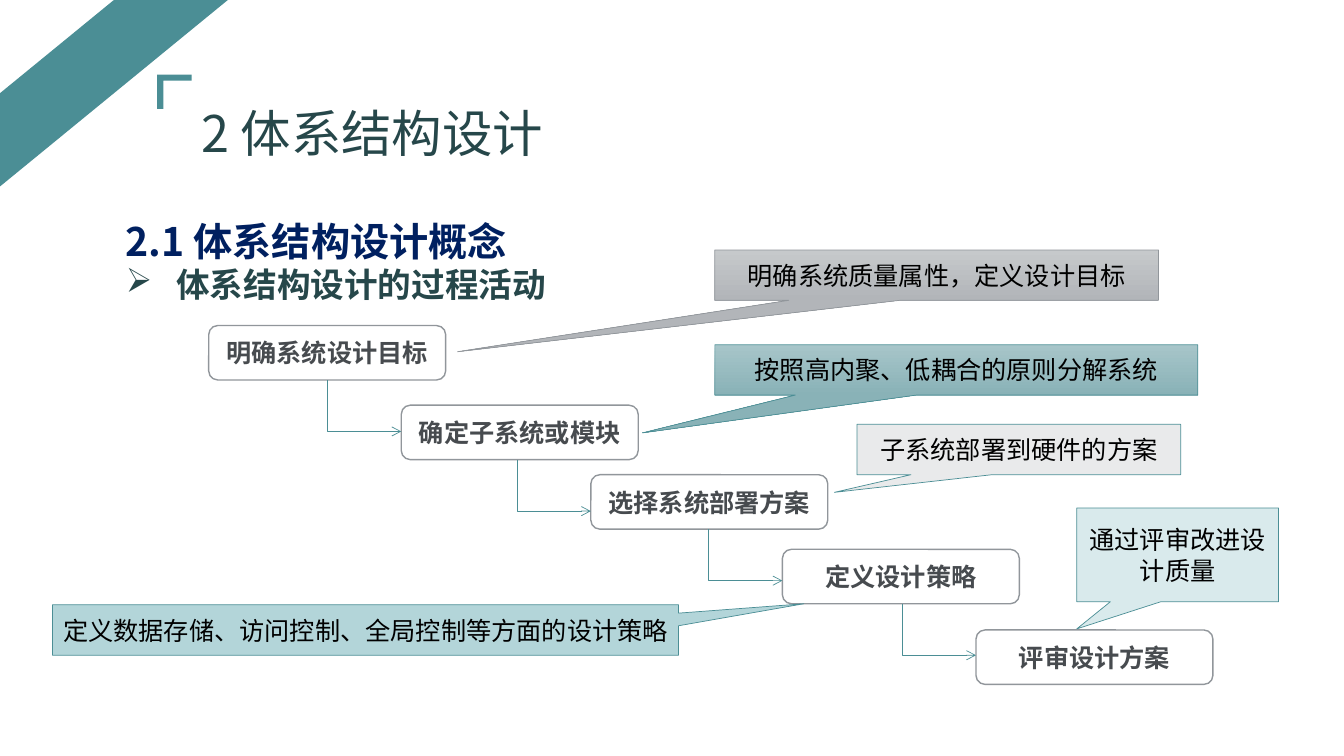
from pptx import Presentation
from pptx import util as u
from pptx.dml.color import RGBColor
from pptx.enum import shapes, text
from pptx.oxml.ns import qn
from lxml import etree

W, H = 13.33, 7.5
CJK = "Noto Sans CJK SC"
TEAL, GREY, DARK = "4B8E95", "91969B", "26474A"
BOX_W, BOX_H = 2.35, 0.54
ARROW_W, ARROW_H = 0.73, 0.51
STEPS = [
    ("明确系统设计目标", 2.07, 3.23),
    ("确定子系统或模块", 3.98, 4.02),
    ("选择系统部署方案", 5.86, 4.71),
    ("定义设计策略", 7.76, 5.45),
    ("评审设计方案", 9.68, 6.25),
]
CALLOUTS = [
    ("明确系统质量属性，定义设计目标", (7.09, 2.48, 4.4, 0.5),
     (-1.08, 1.52), ("C6C9CB", "B2B5B9"), GREY),
    ("按照高内聚、低耦合的原则分解系统", (7.09, 3.42, 4.79, 0.5),
     (-0.65, 1.25), ("A7C5C9", "89B2B7"), TEAL),
    ("子系统部署到硬件的方案", (8.5, 4.21, 3.21, 0.5),
     (-0.57, 0.85), ("E9EAEB",), TEAL),
    ("定义数据存储、访问控制、全局控制等方面的设计策略", (0.52, 6, 6.21, 0.5),
     (0.7, -0.52), ("B3D5D9",), TEAL),
    ("通过评审改进设计质量", (10.68, 5.04, 2, 0.93),
     (-0.5, 0.79), ("D9EAEC",), TEAL),
]


def rgb(value):
    """Return a colour from a hex string."""
    return RGBColor.from_string(value)


def inches(*values):
    """Convert numbers to lengths in inches."""
    return [u.Inches(v) for v in values]


def write(p, words, size, color, font=CJK, bold=False):
    """Fill a paragraph with styled text."""
    p.text = words
    p.font.size, p.font.bold, p.font.name = u.Pt(size), bold, font
    p.font.color.rgb = rgb(color)
    for r in p.runs:
        ea = etree.SubElement(r._r.get_or_add_rPr(), qn("a:ea"))
        ea.set("typeface", CJK)


def add_shape(s, kind, box, fills, line=None, width=1):
    """Add a preset shape with a plain or vertical gradient fill."""
    sp = s.shapes.add_shape(kind, *inches(*box))
    style(sp, fills, line, width)
    return sp


def style(sp, fills, line=None, width=1):
    """Set the fill and outline of a shape."""
    sp.shadow.inherit = False
    if len(fills) > 1:
        sp.fill.gradient()
        sp.fill.gradient_angle = 270
        for stop, color in zip(sp.fill.gradient_stops, fills):
            stop.color.rgb = rgb(color)
    else:
        sp.fill.solid()
        sp.fill.fore_color.rgb = rgb(fills[0])
    if line:
        sp.line.color.rgb = rgb(line)
        sp.line.width = u.Pt(width)
    else:
        sp.line.fill.background()


def label(sp, words, color, font=CJK, bold=False):
    """Centre a label inside a shape."""
    tf = sp.text_frame
    tf.word_wrap = True
    tf.vertical_anchor = text.MSO_ANCHOR.MIDDLE
    p = tf.paragraphs[0]
    p.alignment = text.PP_ALIGN.CENTER
    write(p, words, 18, color, font, bold)


def add_text(s, box):
    """Add a wrapping text box and return its frame."""
    tf = s.shapes.add_textbox(*inches(*box)).text_frame
    tf.word_wrap = True
    return tf


def add_step(s, words, x, y):
    """Add one step of the process."""
    sp = add_shape(s, shapes.MSO_SHAPE.ROUNDED_RECTANGLE,
                   (x, y, BOX_W, BOX_H), ("FFFFFF",), GREY)
    label(sp, words, "474B4F", "Arial", True)


def add_bent_arrow(s, x, y):
    """Add an arrow that runs down from a point and then right."""
    left = x + (ARROW_W - ARROW_H) / 2
    top = y + (ARROW_H - ARROW_W) / 2
    c = s.shapes.add_connector(
        shapes.MSO_CONNECTOR.ELBOW,
        *inches(left, top + ARROW_W, left + ARROW_H, top))
    c.line.color.rgb = rgb(TEAL)
    c.line.width = u.Pt(0.5)
    sp_pr = c._element.spPr
    sp_pr.find(qn("a:xfrm")).set("rot", "5400000")
    sp_pr.find(qn("a:prstGeom")).set("prst", "bentConnector2")
    etree.SubElement(sp_pr.find(qn("a:ln")), qn("a:tailEnd")).set("type", "arrow")
    etree.SubElement(sp_pr, qn("a:effectLst"))


def add_callout(s, words, box, tip, fills, line):
    """Add a callout whose tip is given as shares of its size."""
    sp = add_shape(s, shapes.MSO_SHAPE.RECTANGULAR_CALLOUT, box, fills, line, 0.5)
    sp.adjustments[0], sp.adjustments[1] = tip
    label(sp, words, "000000")


def add_corner(s, x, y, size, thick):
    """Add the corner bracket beside the title."""
    points = [(x + size, y), (x + size, y + thick), (x + thick, y + thick),
              (x + thick, y + size), (x, y + size)]
    fb = s.shapes.build_freeform(*inches(x, y))
    fb.add_line_segments([inches(*point) for point in points])
    style(fb.convert_to_shape(), (TEAL,))


def add_headings(s):
    """Add the title, section heading and bulleted topic."""
    tf = add_text(s, (1.9, 0.96, 5.76, 0.71))
    write(tf.paragraphs[0], "2 体系结构设计", 36, DARK)
    tf = add_text(s, (1.15, 1.87, 11.53, 1.55))
    p = tf.paragraphs[0]
    p.line_spacing = 1.5
    write(p, "2.1 体系结构设计概念", 28, "002060", bold=True)
    p = tf.add_paragraph()
    write(p, "体系结构设计的过程活动", 24, DARK, bold=True)
    p_pr = p._p.get_or_add_pPr()
    p_pr.set("marL", str(u.Inches(0.5)))
    p_pr.set("indent", str(u.Inches(-0.5)))
    bullet = etree.Element(qn("a:buChar"), char="➢")
    p_pr.insert(0, bullet)


def main():
    """Build the slide and save it."""
    prs = Presentation()
    prs.slide_width, prs.slide_height = inches(W, H)
    s = prs.slides.add_slide(prs.slide_layouts[6])
    add_shape(s, shapes.MSO_SHAPE.DIAGONAL_STRIPE, (0, 0, 2.26, 1.85), (TEAL,))
    add_corner(s, 1.56, 0.74, 0.34, 0.06)
    add_headings(s)
    for step in STEPS:
        add_step(s, *step)
    for (_, _, y), (_, x, _) in zip(STEPS, STEPS[1:]):
        add_bent_arrow(s, x - ARROW_W, y + BOX_H)
    for callout in CALLOUTS:
        add_callout(s, *callout)
    prs.save("out.pptx")


if __name__ == "__main__":
    main()
